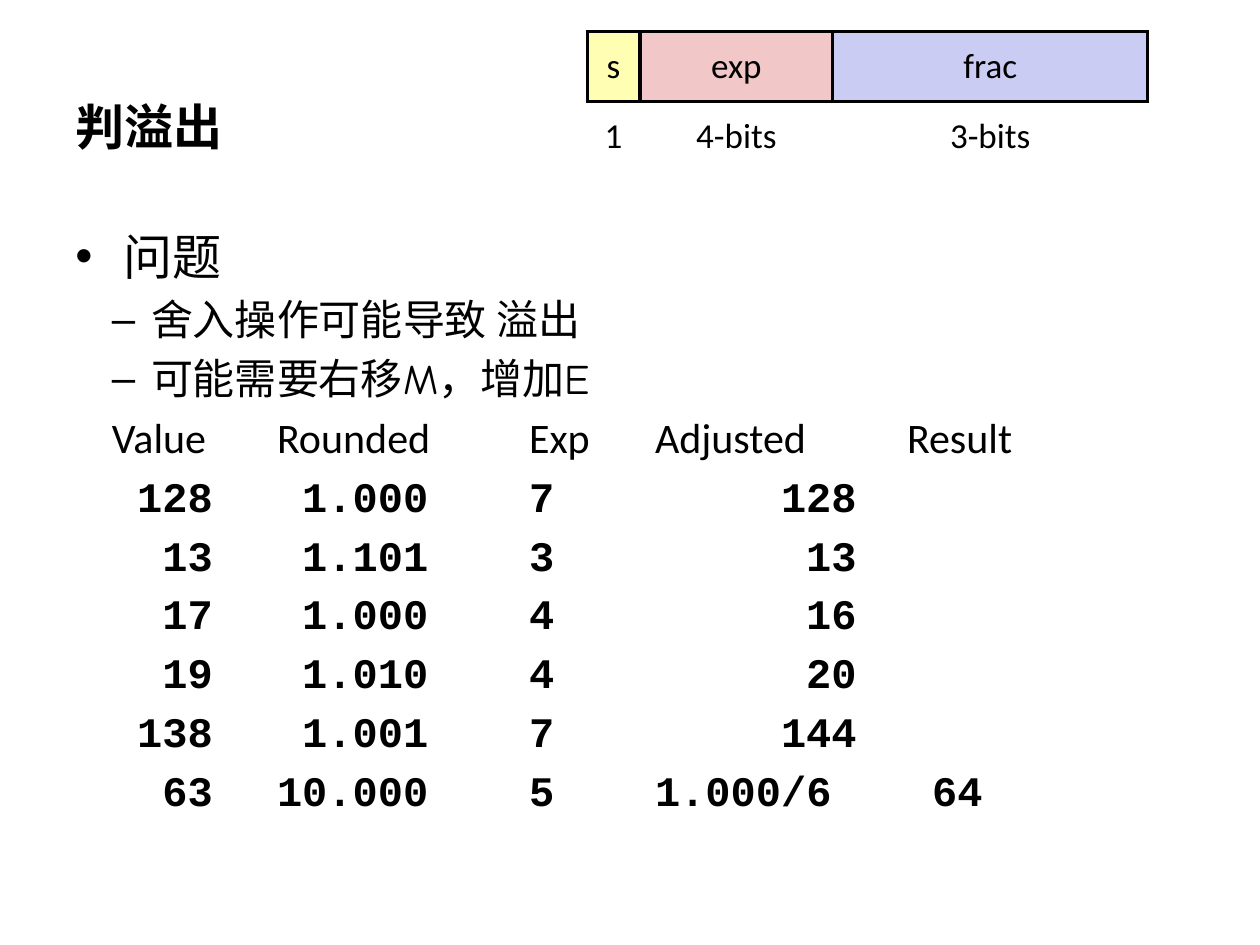
from dataclasses import dataclass

from lxml import etree
from pptx import Presentation
from pptx.dml.color import RGBColor
from pptx.enum.text import MSO_ANCHOR, PP_ALIGN
from pptx.oxml.ns import qn
from pptx.util import Emu, Inches, Pt

MIDDLE = MSO_ANCHOR.MIDDLE
TOP = MSO_ANCHOR.TOP
CENTER = PP_ALIGN.CENTER


@dataclass(frozen=True)
class Theme:
    """Colours, fonts and type sizes of the deck."""
    ink: str = "000000"
    sign: str = "FFFEB2"
    exponent: str = "F1C7C7"
    fraction: str = "CBCCF3"
    hand: str = "Comic Neue"
    plain: str = "Calibri"
    code: str = "Courier New"
    heading: int = 28
    body: int = 24
    cell: int = 20
    rule: int = 2
    tab: int = 1
    bare_table: str = "{2D5ABB26-0587-4C30-8999-92F81FD0307C}"


THEME = Theme()
FIELDS = [("s", "1", THEME.sign, 0.42), ("exp", "4-bits", THEME.exponent, 1.53),
          ("frac", "3-bits", THEME.fraction, 2.5)]
HEADERS = ["Value", "Rounded", "Exp", "Adjusted", "Result"]
ROUNDINGS = [(128, "1.000", 7, "", 128), (13, "1.101", 3, "", 13),
             (17, "1.000", 4, "", 16), (19, "1.010", 4, "", 20),
             (138, "1.001", 7, "", 144), (63, "10.000", 5, "1.000/6", 64)]


def write(para, text, face, size, bold=False):
    """Put one formatted span of text in a paragraph."""
    span = para.add_run()
    span.text = text
    for name, value in {"name": face, "size": Pt(size), "bold": bold}.items():
        setattr(span.font, name, value)
    span.font.color.rgb = RGBColor.from_string(THEME.ink)


def shape_para(para, margin, hang, space=0, bullet=None):
    """Set the hanging indent, tab step, space before in percent and bullet."""
    props = para._p.get_or_add_pPr()
    lengths = {"marL": margin, "indent": -hang, "defTabSz": THEME.tab}
    for name, value in lengths.items():
        props.set(name, str(Inches(value)))
    before = etree.SubElement(props, qn("a:spcBef"))
    etree.SubElement(before, qn("a:spcPct")).set("val", str(space * 1000))
    if bullet:
        etree.SubElement(props, qn("a:buFont")).set("typeface", "Arial")
        etree.SubElement(props, qn("a:buChar")).set("char", bullet)
    else:
        etree.SubElement(props, qn("a:buNone"))


def add_frame(page, area, anchor):
    """Add a wrapping text box and return its frame."""
    frame = page.shapes.add_textbox(*area).text_frame
    for name, value in {"word_wrap": True, "vertical_anchor": anchor}.items():
        setattr(frame, name, value)
    return frame


def add_title(page, area):
    """Place the slide title."""
    para = add_frame(page, area, MIDDLE).paragraphs[0]
    shape_para(para, 0.13, 0.13)
    write(para, "判溢出", THEME.hand, THEME.heading, True)


def add_body(page, area):
    """Place the problem statement and the tabbed rounding examples."""
    frame = add_frame(page, area, TOP)
    para = frame.paragraphs[0]
    shape_para(para, 0.38, 0.38, bullet="•")
    write(para, "问题", THEME.hand, THEME.heading)
    lines = [(text, THEME.hand, False, "–")
             for text in ("舍入操作可能导致 溢出", "可能需要右移M，增加E")]
    lines.append(("\t".join(HEADERS), THEME.plain, False, None))
    for value, rounded, power, adjusted, result in ROUNDINGS:
        text = f"{value:>4}\t{rounded:>6}\t{power}\t{adjusted}\t{result:>3}"
        lines.append((text, THEME.code, True, None))
    for text, face, bold, bullet in lines:
        para = frame.add_paragraph()
        para.level = 1
        shape_para(para, 0.6, 0.31, 20, bullet)
        write(para, text, face, THEME.body, bold)


def add_border(cell, sides):
    """Draw solid rules on the named sides of a cell."""
    props = cell._tc.get_or_add_tcPr()
    for side in sides:
        line = etree.SubElement(props, qn(f"a:ln{side}"), w=str(Pt(THEME.rule)))
        fill = etree.SubElement(line, qn("a:solidFill"))
        etree.SubElement(fill, qn("a:srgbClr")).set("val", THEME.ink)


def add_cell(cell, text, sides, color=None):
    """Fill one cell of the format table."""
    inset = Inches(0.06)
    formats = {"margin_left": inset, "margin_right": inset, "margin_top": inset,
               "margin_bottom": inset, "vertical_anchor": MIDDLE}
    for name, value in formats.items():
        setattr(cell, name, value)
    add_border(cell, sides)
    if color:
        cell.fill.solid()
        cell.fill.fore_color.rgb = RGBColor.from_string(color)
    else:
        cell.fill.background()
    para = cell.text_frame.paragraphs[0]
    para.alignment = CENTER
    write(para, text, THEME.plain, THEME.cell)


def add_format(page, area):
    """Place the table of floating-point fields and their widths."""
    table = page.shapes.add_table(2, len(FIELDS), *area).table
    table.first_row = table.horz_banding = False
    table._tbl.tblPr.find(qn("a:tableStyleId")).text = THEME.bare_table
    total = sum(field[-1] for field in FIELDS)
    for index, (label, bits, color, share) in enumerate(FIELDS):
        table.columns[index].width = Emu(int(area[2] * share / total))
        add_cell(table.cell(0, index), label, "LRTB", color)
        add_cell(table.cell(1, index), bits, "T")


def main():
    """Build and save the deck."""
    deck = Presentation()
    deck.slide_width, deck.slide_height = Inches(10), Inches(7.5)
    page = deck.slides.add_slide(deck.slide_layouts[6])
    regions = [(add_title, (0.5, 0.5, 8.83, 1)), (add_body, (0.5, 1.75, 9.08, 4.83)),
               (add_format, (4.66, 0.25, 4.45, 1.11))]
    for place, area in regions:
        place(page, [Inches(length) for length in area])
    deck.save("out.pptx")


if __name__ == "__main__":
    main()
